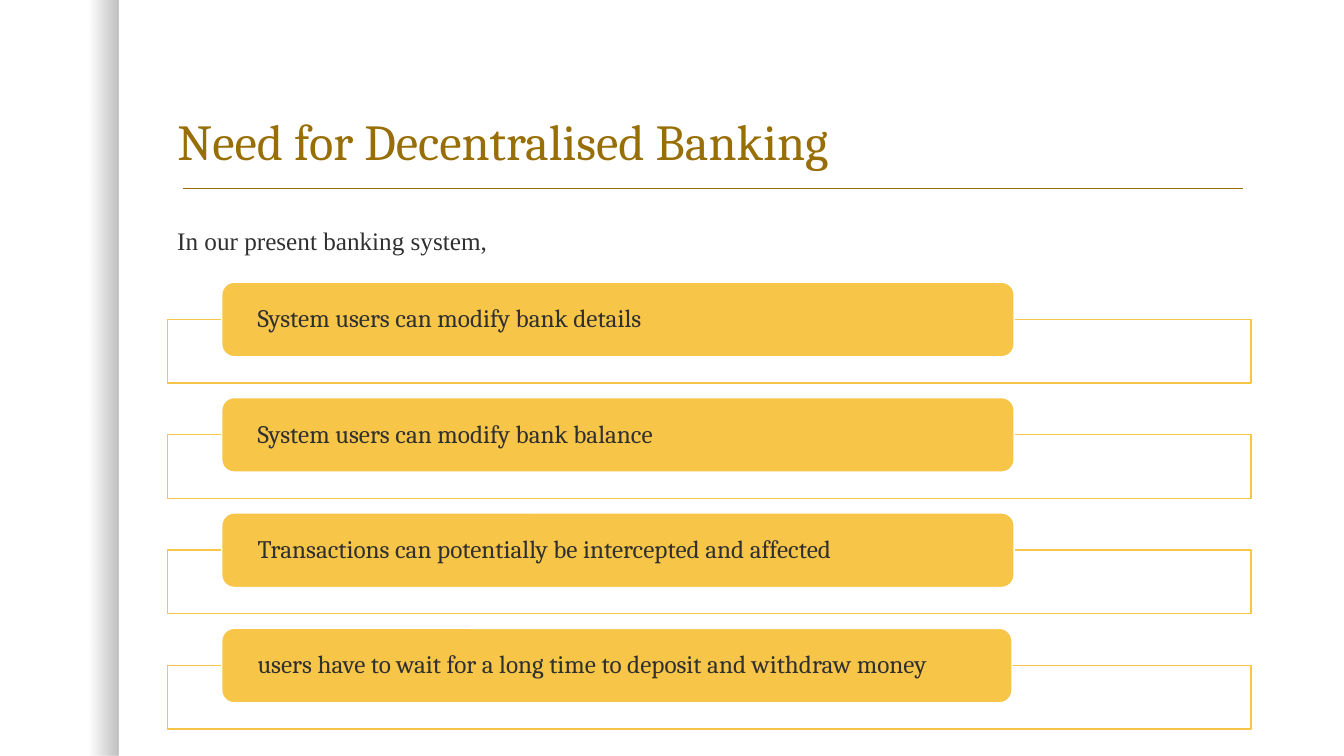
from lxml import etree
from pptx import Presentation
from pptx import util as u
from pptx.dml.color import RGBColor
from pptx.enum import shapes, text
from pptx.oxml.ns import qn

GOLD, BROWN, INK, WHITE = "F7C547", "986F07", "303030", "FFFFFF"
LEFT, WIDTH = 119.5, 774
FIRST_TOP, PITCH = 201.6, 82.4
POINTS = [
    ("System users can modify bank details", 566),
    ("System users can modify bank balance", 566),
    ("Transactions can potentially be intercepted and affected", 566),
    ("users have to wait for a long time to deposit and withdraw money", 564.5),
]


def rgb(value):
    return RGBColor.from_string(value)


def place(sp, x, y, w, h):
    sp.left, sp.top, sp.width, sp.height = (u.Pt(v) for v in (x, y, w, h))


def set_alpha(color_el, percent):
    etree.SubElement(color_el, qn("a:alpha")).set("val", str(percent * 1000))


def write(sp, words, size, font, color, anchor, spacing, inset=7.2):
    tf = sp.text_frame
    tf.word_wrap = True
    tf.auto_size = text.MSO_AUTO_SIZE.NONE
    tf.vertical_anchor = anchor
    tf.margin_left = tf.margin_right = u.Pt(inset)
    p = tf.paragraphs[0]
    p.alignment = text.PP_ALIGN.LEFT
    p.line_spacing = spacing
    r = p.add_run()
    r.text = words
    r.font.size = u.Pt(size)
    r.font.name = font
    r.font.color.rgb = rgb(color)


def add_box(s, kind, x, y, w, h, fill, line):
    sp = s.shapes.add_shape(kind, u.Pt(x), u.Pt(y), u.Pt(w), u.Pt(h))
    sp.shadow.inherit = False
    sp.fill.solid()
    sp.fill.fore_color.rgb = rgb(fill)
    sp.line.color.rgb = rgb(line)
    sp.line.width = u.Pt(1)
    return sp


def add_edge_shade(s):
    sp = s.shapes.add_shape(shapes.MSO_SHAPE.RECTANGLE, 0, 0, u.Pt(84.5), u.Pt(540))
    sp.shadow.inherit = False
    sp.line.fill.background()
    sp.fill.gradient()
    sp.fill.gradient_angle = 0
    for stop, position, alpha in zip(sp.fill.gradient_stops, (0.75, 1), (0, 25)):
        stop.position = position
        stop.color.rgb = rgb("000000")
    for color_el, alpha in zip(sp.element.spPr.iter(qn("a:srgbClr")), (0, 25)):
        set_alpha(color_el, alpha)


def add_rule(s, x1, x2, y):
    line = s.shapes.add_connector(
        shapes.MSO_CONNECTOR.STRAIGHT, u.Pt(x1), u.Pt(y), u.Pt(x2), u.Pt(y))
    line.line.color.rgb = rgb(BROWN)
    line.line.width = u.Pt(1)
    etree.SubElement(line.element.spPr, qn("a:effectLst"))


def add_point(s, top, words, width):
    frame = add_box(s, shapes.MSO_SHAPE.RECTANGLE,
                    LEFT, top + 26.6, WIDTH, 45.4, WHITE, GOLD)
    set_alpha(frame.element.spPr.find(qn("a:solidFill")).find(qn("a:srgbClr")), 90)
    label = add_box(s, shapes.MSO_SHAPE.ROUNDED_RECTANGLE,
                    158.4, top, width, 53.2, GOLD, WHITE)
    write(label, words, 18, "Cambria", INK, text.MSO_ANCHOR.MIDDLE, 0.9, 23)


def main():
    prs = Presentation()
    prs.slide_width, prs.slide_height = u.Pt(960), u.Pt(540)
    s = prs.slides.add_slide(prs.slide_layouts[5])
    add_edge_shade(s)
    add_rule(s, 130.5, 888, 134.5)

    title = s.shapes.title
    place(title, LEFT, 30, WIDTH, 96)
    write(title, "Need for Decentralised Banking", 36, "Cambria", BROWN,
          text.MSO_ANCHOR.BOTTOM, 0.9)

    intro = s.shapes.add_textbox(u.Pt(LEFT), u.Pt(156), u.Pt(WIDTH), u.Pt(36))
    write(intro, "In our present banking system,", 18, "Times New Roman", INK,
          text.MSO_ANCHOR.TOP, 1.07)

    for i, (words, width) in enumerate(POINTS):
        add_point(s, FIRST_TOP + i * PITCH, words, width)
    prs.save("out.pptx")


if __name__ == "__main__":
    main()
